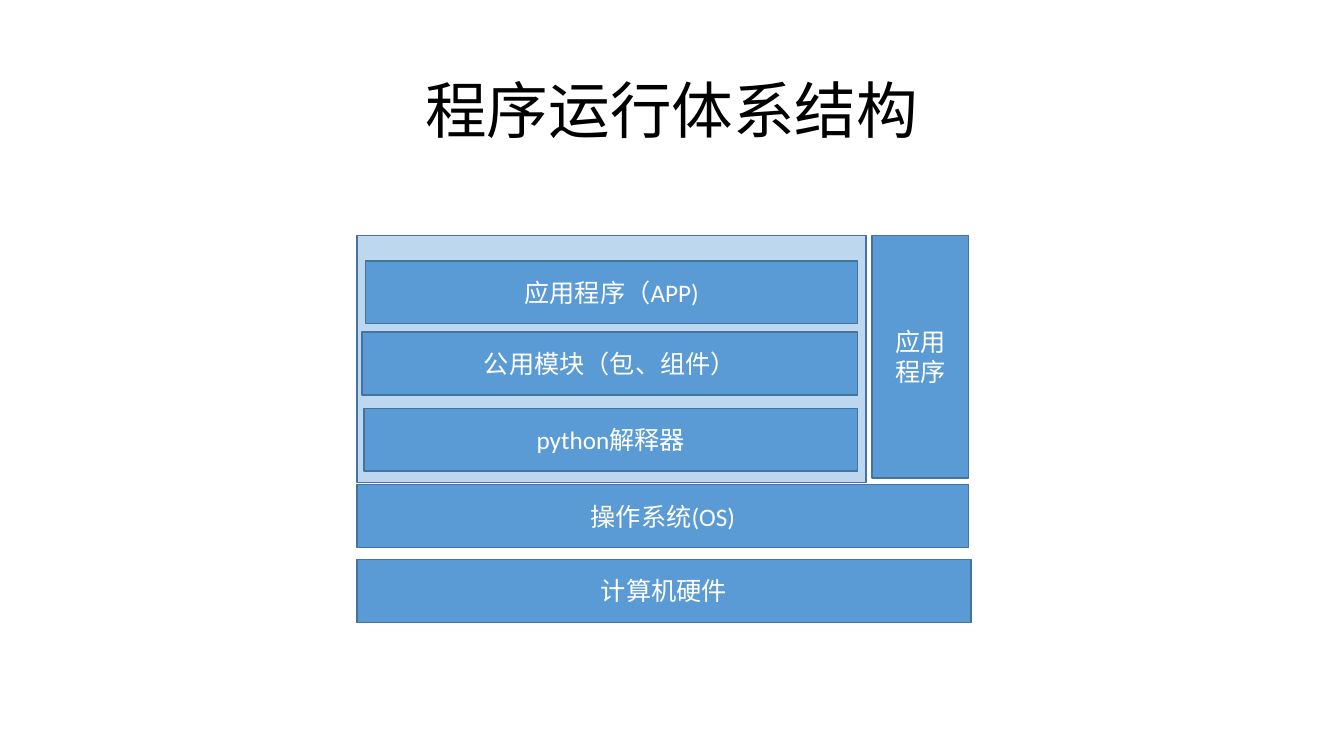
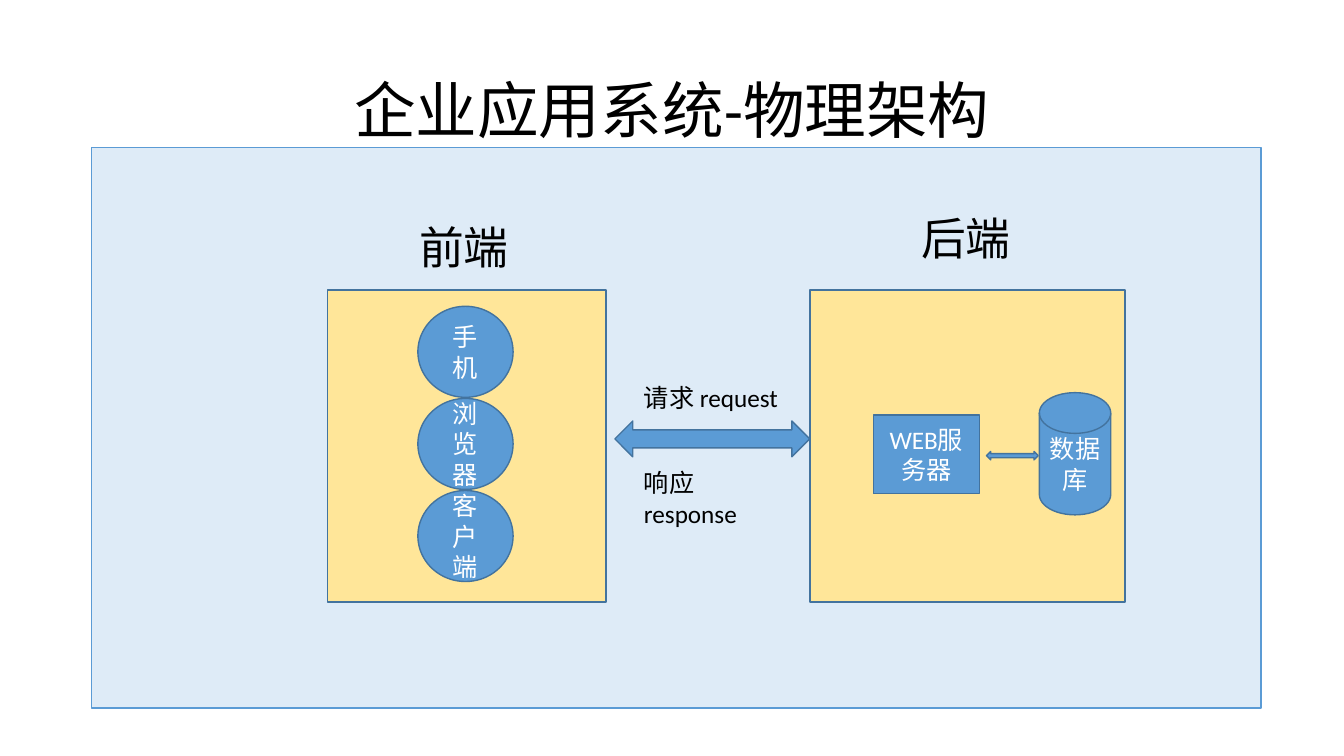
import dataclasses

import pptx
import pptx.dml.color
import pptx.enum.shapes
import pptx.enum.text
import pptx.util

Pt = pptx.util.Pt
Kind = pptx.enum.shapes.MSO_SHAPE
Align = pptx.enum.text.PP_ALIGN
Anchor = pptx.enum.text.MSO_ANCHOR


@dataclasses.dataclass(frozen=True)
class Theme:
    font: str = "Calibri"
    ink: str = "000000"
    white: str = "FFFFFF"
    blue: str = "5B9BD5"
    edge: str = "43739E"
    sky: str = "BDD7EE"
    pale: str = "DEEBF7"
    sand: str = "FFE699"
    title: int = 44
    head: int = 32
    body: int = 18


class Deck:
    def __init__(self, theme):
        self.theme = theme
        self.file = pptx.Presentation()
        self.file.slide_width = Pt(960)
        self.file.slide_height = Pt(540)
        self.slide = None

    def tint(self, color, value):
        color.rgb = pptx.dml.color.RGBColor.from_string(value)

    def letter(self, frame, text, size, color, align):
        frame.word_wrap = True
        frame.text = text
        for para in frame.paragraphs:
            para.alignment = align
            para.font.name = self.theme.font
            para.font.size = Pt(size)
            self.tint(para.font.color, color)

    def page(self, text):
        self.slide = self.file.slides.add_slide(self.file.slide_layouts[5])
        title = self.slide.shapes.title
        title.left, title.top = Pt(66), Pt(28.75)
        title.width, title.height = Pt(828), Pt(104.4)
        frame = title.text_frame
        self.letter(frame, text, self.theme.title, self.theme.ink, Align.CENTER)
        frame.vertical_anchor = Anchor.MIDDLE
        frame.paragraphs[0].line_spacing = 0.9

    def shape(self, box, text="", kind=Kind.RECTANGLE, fill=None, edge=None):
        item = self.slide.shapes.add_shape(kind, *map(Pt, box))
        item.shadow.inherit = False
        item.fill.solid()
        self.tint(item.fill.fore_color, fill or self.theme.blue)
        self.tint(item.line.color, edge or self.theme.edge)
        item.line.width = Pt(1)
        if text:
            frame = item.text_frame
            self.letter(frame, text, self.theme.body, self.theme.white, Align.CENTER)
            frame.vertical_anchor = Anchor.MIDDLE

    def label(self, box, text, size):
        item = self.slide.shapes.add_textbox(*map(Pt, box))
        self.letter(item.text_frame, text, size, self.theme.ink, Align.LEFT)


def stack(deck):
    deck.page("程序运行体系结构")
    deck.shape((255, 168, 363.5, 176.5), fill=deck.theme.sky)
    bars = (
        (261.2, 186.5, 351.4, "应用程序（APP)"),
        (258.7, 237.3, 353.9, "公用模块（包、组件）"),
        (260, 291.8, 352.6, "python解释器"),
        (255, 346.2, 437, "操作系统(OS)"),
        (255, 399.7, 438.5, "计算机硬件"),
    )
    for left, top, width, text in bars:
        deck.shape((left, top, width, 44.8), text)
    deck.shape((623, 168, 69, 173.5), "应用\v程序")


def layout(deck):
    theme = deck.theme
    deck.page("企业应用系统-物理架构")
    deck.shape((65.5, 105.4, 835.3, 400.3), fill=theme.pale, edge=theme.blue)
    sides = (
        (234, 199, "前端", 292.3, 153.4),
        (578.5, 225, "后端", 650.9, 146.9),
    )
    for left, width, text, x, y in sides:
        deck.shape((left, 207, width, 223), fill=theme.sand)
        deck.label((x, y, 80.6, 46), text, theme.head)
    for row, text in enumerate(("手机", "浏览器", "客户端")):
        deck.shape((298.5, 218.8 + 65.8 * row, 68, 65), text, Kind.OVAL)
    deck.shape((742.4, 280.5, 51, 87.3), "数据库", Kind.FLOWCHART_MAGNETIC_DISK)
    deck.shape((623.8, 296.6, 75.8, 56), "WEB服务器", Kind.FLOWCHART_PROCESS)
    for box in ((439.2, 300.7, 139.2, 25.6), (704.6, 322.5, 37, 6)):
        deck.shape(box, kind=Kind.LEFT_RIGHT_ARROW)
    for top, text in ((269.3, "请求 request"), (330.5, "响应\vresponse")):
        deck.label((452.9, top, 123, 26.6), text, theme.body)


def main():
    deck = Deck(Theme())
    stack(deck)
    layout(deck)
    deck.file.save("out.pptx")


if __name__ == "__main__":
    main()
